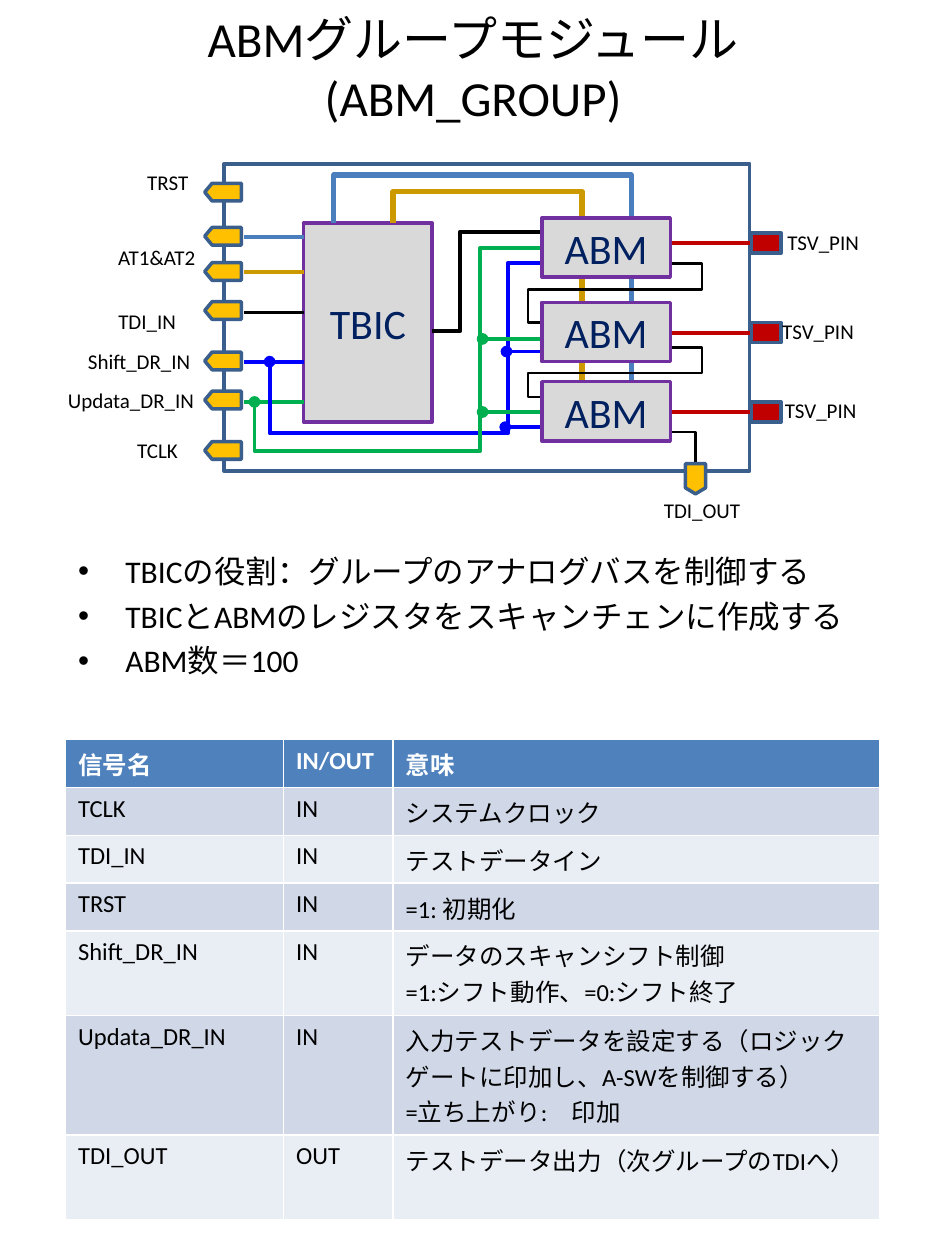
"""Build the ABM group module slide: block diagram, bullets and signal table."""
from lxml.etree import SubElement
from pptx import Presentation
from pptx.dml.color import RGBColor
from pptx.enum.shapes import MSO_CONNECTOR, MSO_SHAPE
from pptx.enum.text import MSO_ANCHOR, MSO_AUTO_SIZE, PP_ALIGN
from pptx.oxml.ns import qn
from pptx.util import Inches, Pt

FONT = "Calibri"
BLACK = RGBColor(0x00, 0x00, 0x00)
WHITE = RGBColor(0xFF, 0xFF, 0xFF)
OUTLINE = RGBColor(0x3A, 0x5F, 0x8C)
PURPLE = RGBColor(0x70, 0x30, 0xA0)
GREY = RGBColor(0xD9, 0xD9, 0xD9)
NAVY = RGBColor(0x00, 0x20, 0x60)
AMBER = RGBColor(0xFF, 0xC0, 0x00)
RED = RGBColor(0xC0, 0x00, 0x00)
STEEL = RGBColor(0x4B, 0x7E, 0xBC)
GOLD = RGBColor(0xCC, 0x99, 0x00)
BLUE = RGBColor(0x00, 0x00, 0xFF)
GREEN = RGBColor(0x00, 0xB0, 0x50)
HEADER_FILL = RGBColor(0x4F, 0x81, 0xBD)
BAND_FILLS = (RGBColor(0xE9, 0xED, 0xF4), RGBColor(0xD0, 0xD8, 0xE8))

TITLE = "ABMグループモジュール(ABM_GROUP)"
BULLETS = [
    "TBICの役割：グループのアナログバスを制御する",
    "TBICとABMのレジスタをスキャンチェンに作成する",
    "ABM数＝100",
]
SIGNALS = [
    ("信号名", "IN/OUT", "意味"),
    ("TCLK", "IN", "システムクロック"),
    ("TDI_IN", "IN", "テストデータイン"),
    ("TRST", "IN", "=1: 初期化"),
    ("Shift_DR_IN", "IN", "データのスキャンシフト制御\n=1:シフト動作、=0:シフト終了"),
    ("Updata_DR_IN", "IN",
     "入力テストデータを設定する（ロジックゲートに印加し、A-SWを制御する）\n=立ち上がり:　印加"),
    ("TDI_OUT", "OUT", "テストデータ出力（次グループのTDIへ）"),
]
COLUMN_WIDTHS = (1.73, 0.87, 3.86)
ROW_HEIGHTS = (0.38, 0.38, 0.38, 0.38, 0.67, 0.95, 0.67)

LABELS = [
    ("TRST", 1.07, 1.3, 0.58),
    ("AT1&AT2", 0.84, 1.89, 0.97),
    ("TDI_IN", 0.84, 2.4, 0.95),
    ("Shift_DR_IN", 0.6, 2.72, 1.33),
    ("Updata_DR_IN", 0.44, 3.03, 1.21),
    ("TCLK", 0.99, 3.42, 0.58),
    ("TDI_OUT", 5.17, 3.9, 1.34),
    ("TSV_PIN", 6.15, 1.77, 0.89),
    ("TSV_PIN", 6.11, 2.48, 0.89),
    ("TSV_PIN", 6.13, 3.11, 0.89),
]
INPUT_TOPS = (1.38, 1.73, 2.01, 2.32, 2.72, 3.03, 3.43)
INPUT_WIRES = [(1.88, STEEL), (2.16, GOLD), (2.48, BLACK), (2.87, BLUE), (3.19, GREEN)]
BRANCHES = [(4.02, 2.79, BLUE), (4.01, 3.39, BLUE), (3.83, 2.69, GREEN), (3.83, 3.27, GREEN)]
ROUTES = [
    ([(2.14, 2.87), (2.14, 3.44), (4.03, 3.44), (4.03, 2.09), (4.3, 2.09)], BLUE, 2.25, True),
    ([(2.02, 3.19), (2.02, 3.58), (3.81, 3.58), (3.81, 1.97), (4.3, 1.97)], GREEN, 2.25, True),
    ([(3.43, 2.63), (3.65, 2.63), (3.65, 1.84), (4.34, 1.84)], BLACK, 2.25, False),
    ([(2.65, 1.77), (2.65, 1.39), (5.01, 1.39), (5.01, 3.03)], STEEL, 3, False),
    ([(3.12, 1.77), (3.12, 1.52), (4.62, 1.52), (4.62, 3.03)], GOLD, 3, False),
    ([(4.3, 2.56), (4.19, 2.56), (4.19, 2.3), (5.57, 2.3), (5.57, 2.09), (5.33, 2.09)],
     BLACK, 1.5, False),
    ([(4.3, 3.15), (4.19, 3.15), (4.19, 2.96), (5.57, 2.96), (5.57, 2.76), (5.33, 2.76)],
     BLACK, 1.5, False),
    ([(5.52, 3.74), (5.52, 3.43), (5.33, 3.43)], BLACK, 1.5, False),
]
ABM_TOPS = (1.73, 2.4, 3.03)
TSV_LEVELS = (1.93, 2.64, 3.27)


def style_text(frame, size, color, bold=False, align=None):
    for paragraph in frame.paragraphs:
        if align is not None:
            paragraph.alignment = align
        for run in paragraph.runs:
            run.font.name = FONT
            run.font.size = Pt(size)
            run.font.bold = bold
            run.font.color.rgb = color


def fill_placeholder(placeholder, box, text, size):
    placeholder.left, placeholder.top, placeholder.width, placeholder.height = map(Inches, box)
    frame = placeholder.text_frame
    frame.text = text
    frame.auto_size = MSO_AUTO_SIZE.NONE
    style_text(frame, size, BLACK)
    return frame


def add_block(shapes, kind, box, fill, outline, text="", rotation=0):
    block = shapes.add_shape(kind, *map(Inches, box))
    block.shadow.inherit = False
    block.rotation = rotation
    block.fill.solid()
    block.fill.fore_color.rgb = fill
    block.line.color.rgb = outline
    block.line.width = Pt(2)
    if text:
        frame = block.text_frame
        frame.margin_left = frame.margin_right = frame.margin_top = frame.margin_bottom = 0
        frame.vertical_anchor = MSO_ANCHOR.MIDDLE
        frame.text = text
        style_text(frame, 24, NAVY, align=PP_ALIGN.CENTER)


def add_wire(shapes, points, color, width=2.25, dot=False):
    corners = [(Inches(x), Inches(y)) for x, y in points]
    if len(corners) == 2:
        wire = shapes.add_connector(MSO_CONNECTOR.STRAIGHT, *corners[0], *corners[1])
    else:
        builder = shapes.build_freeform(*corners[0])
        builder.add_line_segments(corners[1:], close=False)
        wire = builder.convert_to_shape()
        wire.fill.background()
    wire.line.color.rgb = color
    wire.line.width = Pt(width)
    properties = wire._element.spPr
    if dot:
        SubElement(properties.find(qn("a:ln")), qn("a:headEnd"), type="oval")
    SubElement(properties, qn("a:effectLst"))


def add_diagram(shapes):
    add_block(shapes, MSO_SHAPE.RECTANGLE, (1.78, 1.3, 4.17, 2.44), WHITE, OUTLINE)
    add_block(shapes, MSO_SHAPE.RECTANGLE, (2.41, 1.77, 1.02, 1.58), GREY, PURPLE, "TBIC")
    for level, color in INPUT_WIRES:
        add_wire(shapes, [(1.94, level), (2.41, level)], color)
    for points, color, width, dot in ROUTES:
        add_wire(shapes, points, color, width, dot)
    for start, level, color in BRANCHES:
        add_wire(shapes, [(start, level), (start + 0.47, level)], color, dot=True)
    for top in ABM_TOPS:
        add_block(shapes, MSO_SHAPE.RECTANGLE, (4.3, top, 1.02, 0.47), GREY, PURPLE, "ABM")
    for level in TSV_LEVELS:
        add_block(shapes, MSO_SHAPE.RECTANGLE, (5.96, level - 0.08, 0.24, 0.16), RED, OUTLINE)
        add_wire(shapes, [(5.33, level), (5.95, level)], RED)
    port = MSO_SHAPE.FLOWCHART_OFFPAGE_CONNECTOR
    for top in INPUT_TOPS:
        add_block(shapes, port, (1.7, top, 0.14, 0.29), AMBER, OUTLINE, rotation=90)
    add_block(shapes, port, (5.44, 3.68, 0.16, 0.24), AMBER, OUTLINE)
    for text, left, top, width in LABELS:
        label = shapes.add_textbox(*map(Inches, (left, top, width, 0.3))).text_frame
        label.word_wrap = True
        label.text = text
        style_text(label, 12, BLACK)


def add_signal_table(shapes):
    box = (0.52, 5.87, sum(COLUMN_WIDTHS), sum(ROW_HEIGHTS))
    table = shapes.add_table(len(SIGNALS), len(COLUMN_WIDTHS), *map(Inches, box)).table
    for column, width in zip(table.columns, COLUMN_WIDTHS):
        column.width = Inches(width)
    for index, (row, height, signal) in enumerate(zip(table.rows, ROW_HEIGHTS, SIGNALS)):
        row.height = Inches(height)
        header = index == 0
        for cell, text in zip(row.cells, signal):
            cell.text_frame.text = text
            cell.fill.solid()
            cell.fill.fore_color.rgb = HEADER_FILL if header else BAND_FILLS[index % 2]
            style_text(cell.text_frame, 14, WHITE if header else BLACK, header)


def main():
    deck = Presentation()
    deck.slide_width, deck.slide_height = Inches(7.5), Inches(10)
    slide = deck.slides.add_slide(deck.slide_layouts[1])
    title, body = slide.placeholders
    fill_placeholder(title, (0.38, 0.4, 6.75, 0.27), TITLE, 28)
    bullets = fill_placeholder(body, (0.52, 4.33, 6.37, 1.45), "\n".join(BULLETS), 18)
    for index, paragraph in enumerate(bullets.paragraphs):
        paragraph.space_before = Pt(4 if index else 0)
    add_diagram(slide.shapes)
    add_signal_table(slide.shapes)
    deck.save("out.pptx")


if __name__ == "__main__":
    main()
